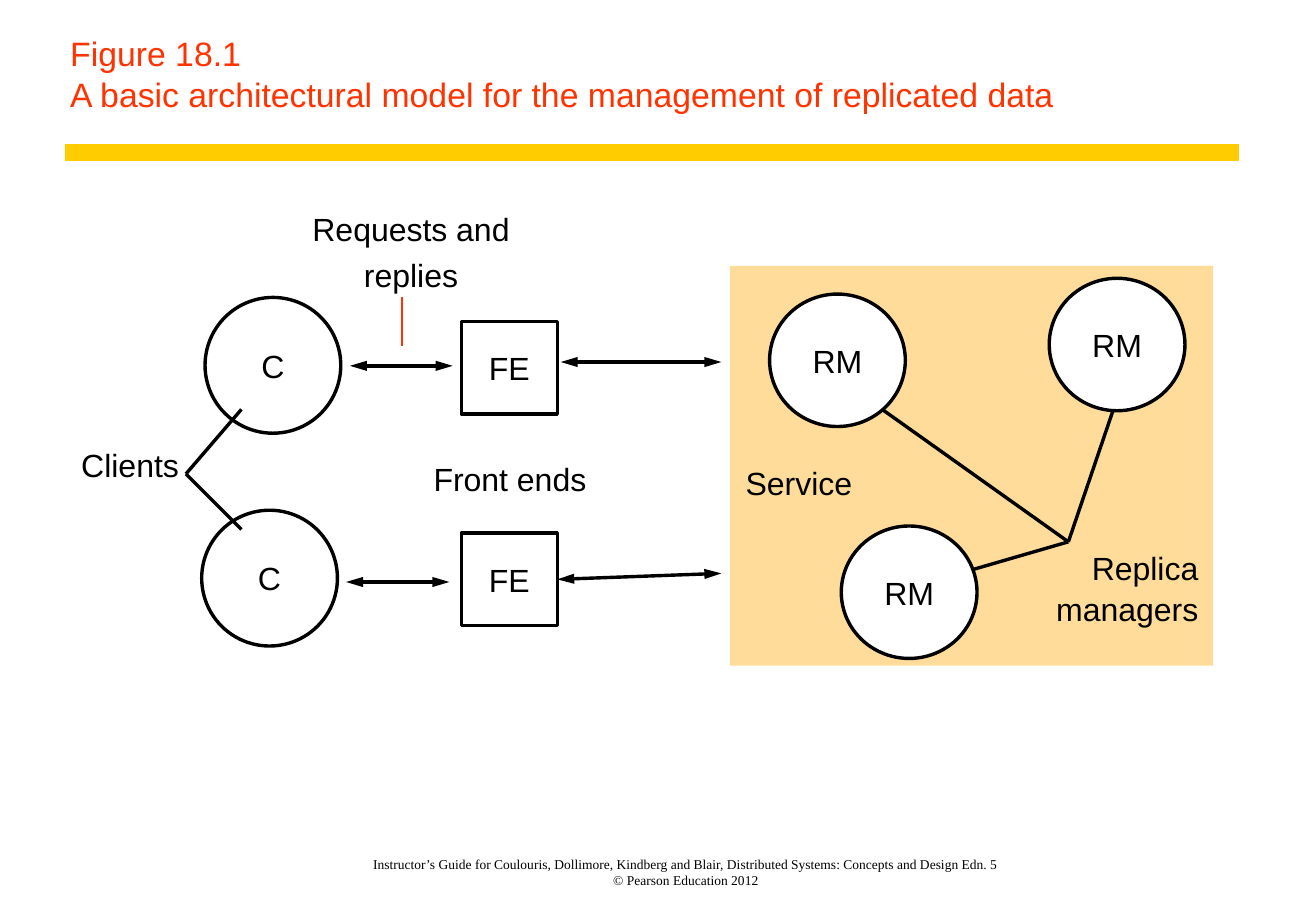
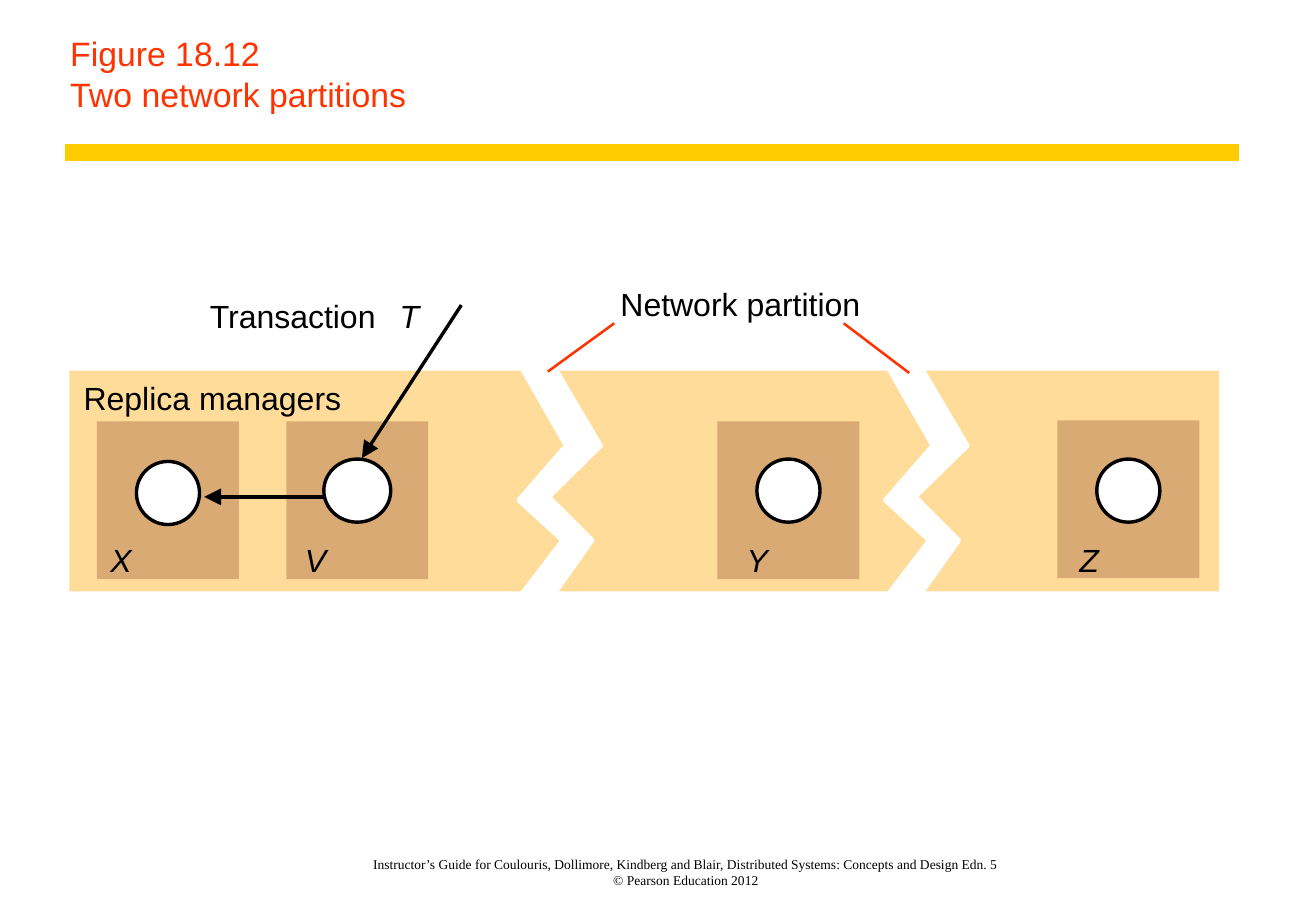
import lxml.etree
import pptx
import pptx.dml.color
import pptx.enum.shapes
import pptx.enum.text
import pptx.oxml.ns
import pptx.util

Cm = pptx.util.Cm
Pt = pptx.util.Pt
qn = pptx.oxml.ns.qn
RGB = pptx.dml.color.RGBColor.from_string
RECT = pptx.enum.shapes.MSO_SHAPE.RECTANGLE
OVAL = pptx.enum.shapes.MSO_SHAPE.OVAL
STRAIGHT = pptx.enum.shapes.MSO_CONNECTOR.STRAIGHT
ALIGN = pptx.enum.text.PP_ALIGN
ANCHOR = pptx.enum.text.MSO_ANCHOR

COLORS = {
    "ink": "000000",
    "paper": "FFFFFF",
    "accent": "FF3300",
    "rule": "FFCC00",
    "service": "FFDC99",
    "manager": "D9AA73",
}
FOOTER = (
    "Instructor’s Guide for Coulouris, Dollimore, Kindberg and Blair, "
    "Distributed Systems: Concepts and Design Edn. 5\v© Pearson Education 2012"
)


def add_box(slide, kind, frame, text="", fill=None, outline=None, size=19, font="Arial",
            color="ink", italic=False, align=ALIGN.LEFT, anchor=ANCHOR.TOP,
            insets=(0, 0, 0, 0), gap=0):
    place = [Cm(length) for length in frame]
    if kind is None:
        box = slide.shapes.add_textbox(*place)
    else:
        box = slide.shapes.add_shape(kind, *place)
        box.shadow.inherit = False
        if fill:
            box.fill.solid()
            box.fill.fore_color.rgb = RGB(COLORS[fill])
        else:
            box.fill.background()
        if outline:
            box.line.color.rgb = RGB(COLORS[outline])
            box.line.width = Pt(2)
        else:
            box.line.fill.background()
    if not text:
        return box
    body = box.text_frame
    body.word_wrap = True
    body.vertical_anchor = anchor
    body.margin_left, body.margin_top, body.margin_right, body.margin_bottom = map(Cm, insets)
    for number, content in enumerate(text.split("\n")):
        paragraph = body.add_paragraph() if number else body.paragraphs[0]
        paragraph.alignment = align
        if number:
            paragraph.space_before = Pt(gap)
        for row, words in enumerate(content.split("\v")):
            if row:
                paragraph.add_line_break()
            run = paragraph.add_run()
            run.text = words
            run.font.name = font
            run.font.size = Pt(size)
            run.font.italic = italic
            run.font.color.rgb = RGB(COLORS[color])
    return box


def add_line(slide, start, end, color="ink", width=2, heads=(), head_width="med"):
    line = slide.shapes.add_connector(STRAIGHT, *[Cm(length) for length in start + end])
    line.line.color.rgb = RGB(COLORS[color])
    line.line.width = Pt(width)
    properties = line._element.spPr
    for head in heads:
        lxml.etree.SubElement(properties.find(qn("a:ln")), qn("a:" + head),
                              type="triangle", w=head_width, len="lg")
    lxml.etree.SubElement(properties, qn("a:effectLst"))
    return line


deck = pptx.Presentation()
deck.slide_width = Cm(27.53)
deck.slide_height = Cm(19.05)

slides = []
for title in (
    "Figure 18.1\vA basic architectural model for the management of replicated data",
    "Figure 18.12\vTwo network partitions",
):
    slide = deck.slides.add_slide(deck.slide_layouts[6])
    add_box(slide, None, (5.97, 17.58, 16.76, 0.99), FOOTER, size=8, font="Times New Roman",
            align=ALIGN.CENTER, anchor=ANCHOR.BOTTOM)
    add_line(slide, (1.37, 3.18), (25.91, 3.18), "rule", 10)
    add_box(slide, None, (1.22, 0, 24.69, 2.54), title, size=20, color="accent",
            anchor=ANCHOR.BOTTOM, insets=(0.25, 0.15, 0.35, 0.15))
    slides.append(slide)
model, partitions = slides

add_box(model, RECT, (15.27, 5.56, 10.11, 8.36), fill="service")

replica_junction = (22.35, 11.33)
for manager_edge in ((23.37, 8.33), (18.34, 8.48), (20.35, 11.91)):
    add_line(model, replica_junction, manager_edge)

nodes = [
    (OVAL, "C", 2.84, 2.84, ((4.29, 6.22), (4.22, 10.67))),
    (OVAL, "RM", 2.84, 2.77, ((16.1, 6.15), (17.6, 11), (21.95, 5.82))),
    (RECT, "FE", 2.01, 1.93, ((9.65, 6.73), (9.65, 11.15))),
]
for kind, name, width, height, corners in nodes:
    for left, top in corners:
        node = add_box(model, kind, (left, top, width, height), name, "paper", "ink",
                       align=ALIGN.CENTER, anchor=ANCHOR.MIDDLE)
lower_front_end = node

clients_junction = (3.89, 9.91)
for client_point in ((5.05, 8.56), (5.05, 11.07)):
    add_line(model, clients_junction, client_point)

for start, end in (
    ((7.32, 7.65), (9.47, 7.65)),
    ((11.73, 7.57), (15.09, 7.57)),
    ((7.24, 12.17), (9.4, 12.17)),
    ((11.66, 12.11), (15.09, 11.99)),
):
    exchange = add_line(model, start, end, heads=("headEnd", "tailEnd"))
exchange.begin_connect(lower_front_end, 3)
add_line(model, (8.41, 6.22), (8.41, 7.24), "accent", 1)

for text, left, top, width, height, align, gap in (
    ("Requests and\nreplies", 6.1, 4.39, 5, 1.8, ALIGN.CENTER, 4),
    ("Replica\nmanagers", 21.5, 11.46, 3.57, 1.7, ALIGN.RIGHT, 2),
    ("Service", 15.6, 9.7, 2.6, 0.81, ALIGN.LEFT, 0),
    ("Clients", 1.7, 9.32, 2.4, 0.81, ALIGN.LEFT, 0),
    ("Front ends", 9.07, 9.6, 3.6, 0.81, ALIGN.LEFT, 0),
):
    add_box(model, None, (left, top, width, height), text, align=align, gap=gap)

add_box(partitions, RECT, (1.45, 7.75, 24.05, 4.62), fill="service")

manager_width = 2.97
for name, left, top, copy_width, copy_top, name_left in (
    ("X", 2.03, 8.81, 1.32, 9.65, 2.31),
    ("V", 5.99, 8.81, 1.4, 9.6, 6.38),
    ("Y", 15.01, 8.81, 1.32, 9.6, 15.62),
    ("Z", 22.12, 8.79, 1.32, 9.6, 22.58),
):
    add_box(partitions, RECT, (left, top, manager_width, 3.3), fill="manager")
    copy_left = left + (manager_width - copy_width) / 2
    add_box(partitions, OVAL, (copy_left, copy_top, copy_width, 1.32),
            fill="paper", outline="ink")
    add_box(partitions, None, (name_left, 11.3, 0.8, 0.81), name, italic=True)

for text, left, top, width, italic in (
    ("Replica managers", 1.75, 7.92, 5.8, False),
    ("Network partition", 12.98, 5.94, 5.5, False),
    ("Transaction", 4.39, 6.2, 3.8, False),
    ("T", 8.36, 6.2, 0.8, True),
):
    add_box(partitions, None, (left, top, width, 0.81), text, italic=italic)

for start, end in (((9.65, 6.38), (7.57, 9.58)), ((6.83, 10.39), (4.27, 10.39))):
    add_line(partitions, start, end, heads=("tailEnd",), head_width="lg")

crack_outline = [
    (10.87, 7.59), (11.86, 9.32), (10.87, 10.46), (11.79, 11.3), (10.72, 12.7),
    (11.38, 12.7), (12.37, 11.3), (11.46, 10.39), (12.55, 9.32), (11.53, 7.59),
]
for shift in (0, 7.67):
    points = [(Cm(x + shift), Cm(y)) for x, y in crack_outline]
    builder = partitions.shapes.build_freeform(*points[0])
    builder.add_line_segments(points[1:], close=True)
    crack = builder.convert_to_shape()
    crack.shadow.inherit = False
    crack.fill.solid()
    crack.fill.fore_color.rgb = RGB(COLORS["paper"])
    crack.line.color.rgb = RGB(COLORS["paper"])
    crack.line.width = Pt(3.5)

for start, end in (((17.65, 6.76), (19.02, 7.8)), ((12.85, 6.76), (11.46, 7.77))):
    add_line(partitions, start, end, "accent", 1.5)

deck.save("out.pptx")
